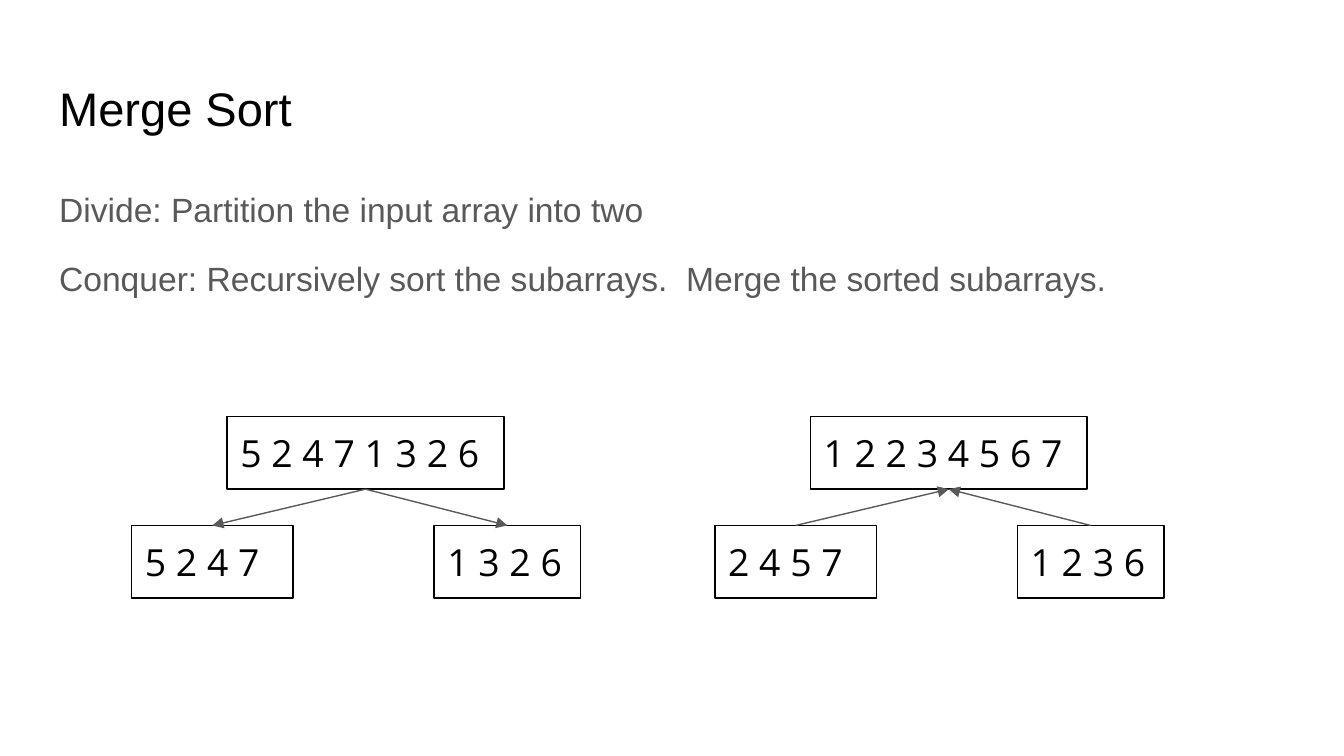
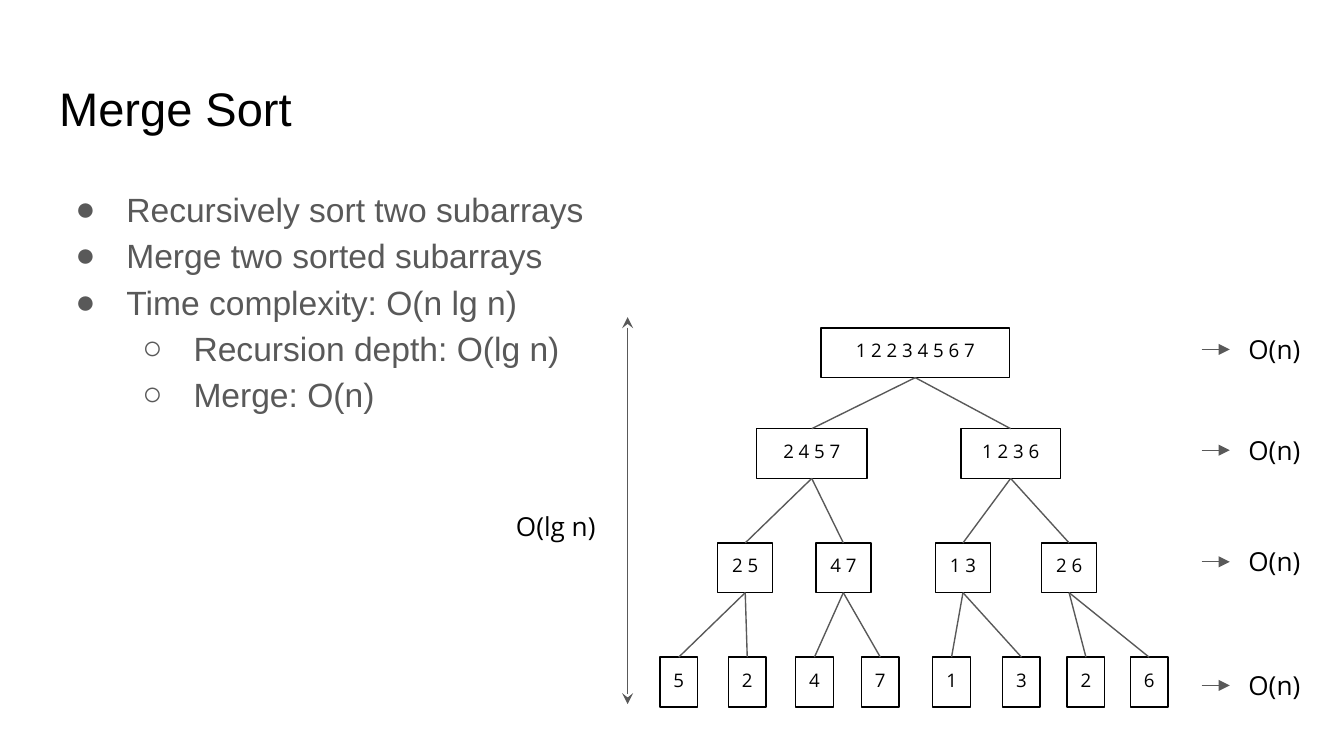
from lxml import etree
from pptx import Presentation
from pptx.dml.color import RGBColor
from pptx.enum.shapes import MSO_CONNECTOR, MSO_SHAPE
from pptx.enum.text import MSO_ANCHOR, MSO_AUTO_SIZE, PP_ALIGN
from pptx.oxml.ns import qn
from pptx.util import Inches, Pt

RECTANGLE = MSO_SHAPE.RECTANGLE
STRAIGHT = MSO_CONNECTOR.STRAIGHT
TOP = MSO_ANCHOR.TOP
NO_FIT, GROW = MSO_AUTO_SIZE.NONE, MSO_AUTO_SIZE.SHAPE_TO_FIT_TEXT
LEFT, CENTER = PP_ALIGN.LEFT, PP_ALIGN.CENTER

COLORS = {name: RGBColor.from_string(value) for name, value in {
    "ink": "000000", "gray": "595959"}.items()}
TEXT_FONT, DIAGRAM_FONT = "Arial", "Open Sans"
LINE_WIDTH = Pt(0.75)
INSET = Inches(0.1)


def write(shape, lines, font, size, color, align=LEFT, fit=GROW):
    """Fill a shape with one run per paragraph and return the paragraphs."""
    frame = shape.text_frame
    frame.word_wrap = True
    frame.auto_size = fit
    frame.vertical_anchor = TOP
    frame.margin_left = frame.margin_right = INSET
    frame.margin_top = frame.margin_bottom = INSET
    for index, line in enumerate(lines):
        paragraph = frame.add_paragraph() if index else frame.paragraphs[0]
        paragraph.alignment = align
        run = paragraph.add_run()
        run.text = line
        run.font.name = font
        run.font.size = Pt(size)
        run.font.color.rgb = COLORS[color]
    return frame.paragraphs


def connect(shapes, start, end, head=None, tail=None):
    """Draw a thin gray line, with optional arrowheads at start and end."""
    points = [Inches(value) for value in (*start, *end)]
    connector = shapes.add_connector(STRAIGHT, *points)
    connector.line.color.rgb = COLORS["gray"]
    connector.line.width = LINE_WIDTH
    properties = connector._element.spPr
    outline = properties.find(qn("a:ln"))
    for tag, kind in (("a:headEnd", head), ("a:tailEnd", tail)):
        if kind:
            etree.SubElement(outline, qn(tag), type=kind)
    etree.SubElement(properties, qn("a:effectLst"))


presentation = Presentation()
presentation.slide_width = Inches(10)
presentation.slide_height = Inches(5.625)

# Titles and body lists: each body line has a bullet and a level
pages = [
    [("", 0, "Divide: Partition the input array into two"),
     ("", 0, "Conquer: Recursively sort the subarrays.  Merge the sorted subarrays.")],
    [("●", 0, "Recursively sort two subarrays"),
     ("●", 0, "Merge two sorted subarrays"),
     ("●", 0, "Time complexity: O(n lg n)"),
     ("○", 1, "Recursion depth: O(lg n)"),
     ("○", 1, "Merge: O(n)")],
]
slides = []
for items in pages:
    slide = presentation.slides.add_slide(presentation.slide_layouts[1])
    slides.append(slide)
    title, body = slide.placeholders
    for shape, top, height in ((title, 0.49, 0.63), (body, 1.26, 3.74)):
        shape.left, shape.top = Inches(0.34), Inches(top)
        shape.width, shape.height = Inches(9.32), Inches(height)
    write(title, ["Merge Sort"], TEXT_FONT, 25.2, "ink", fit=NO_FIT)
    texts = [text for _, _, text in items]
    paragraphs = write(body, texts, TEXT_FONT, 18, "gray", fit=NO_FIT)
    for index, (bullet, level, _) in enumerate(items):
        paragraph = paragraphs[index]
        paragraph.level = level
        paragraph.line_spacing = 1.15
        gap = Pt(12) if index and not bullet else Pt(0)
        paragraph.space_before = paragraph.space_after = gap
        properties = paragraph._p.get_or_add_pPr()
        margin = Inches(0.5 * (level + 1)) if bullet else 0
        properties.set("marL", str(margin))
        properties.set("indent", str(Inches(-0.38) if bullet else 0))
        if bullet:
            bullet_color = etree.SubElement(properties, qn("a:buClr"))
            etree.SubElement(bullet_color, qn("a:srgbClr"), val=str(COLORS["gray"]))
            etree.SubElement(properties, qn("a:buFont"), typeface=TEXT_FONT)
            etree.SubElement(properties, qn("a:buChar"), char=bullet)
        else:
            etree.SubElement(properties, qn("a:buNone"))

# Trees: rows of (top, [(left, width, numbers), ...]), each node has two children
divide_slide, depth_slide = slides
depth_group = depth_slide.shapes.add_group_shape().shapes
pair_width, leaf_width = 0.41, 0.28
pairs = zip((5.34, 6.07, 6.96, 7.75), ("2 5", "4 7", "1 3", "2 6"))
leaves = zip((4.91, 5.42, 5.92, 6.41, 6.94, 7.46, 7.94, 8.41), "52471326")
recursion_rows = [
    (2.44, [(6.11, 1.4, "1 2 2 3 4 5 6 7")]),
    (3.19, [(5.63, 0.82, "2 4 5 7"), (7.15, 0.74, "1 2 3 6")]),
    (4.04, [(left, pair_width, text) for left, text in pairs]),
    (4.89, [(left, leaf_width, text) for left, text in leaves]),
]
trees = [(depth_group, recursion_rows, 0.37, 10, CENTER, {})]
for shift, whole, first_half, second_half, ends in (
        (0, "5 2 4 7 1 3 2 6", "5 2 4 7", "1 3 2 6", {"tail": "triangle"}),
        (4.34, "1 2 2 3 4 5 6 7", "2 4 5 7", "1 2 3 6", {"head": "triangle"})):
    rows = [
        (3.1, [(1.69 + shift, 2.06, whole)]),
        (3.91, [(0.98 + shift, 1.2, first_half), (3.23 + shift, 1.09, second_half)]),
    ]
    trees.append((divide_slide.shapes, rows, 0.54, 20, LEFT, ends))

for shapes, rows, height, size, align, ends in trees:
    parents = []
    for top, nodes in rows:
        centers = []
        for index, (left, width, numbers) in enumerate(nodes):
            box = shapes.add_shape(RECTANGLE, Inches(left), Inches(top),
                                   Inches(width), Inches(height))
            box.shadow.inherit = False
            box.fill.background()
            box.line.color.rgb = COLORS["ink"]
            box.line.width = LINE_WIDTH
            write(box, [numbers], DIAGRAM_FONT, size, "ink", align)
            center = left + width / 2
            centers.append((center, top + height))
            if parents:
                connect(shapes, parents[index // 2], (center, top), **ends)
        parents = centers

# Depth arrow, cost arrows and their labels
connect(depth_group, (4.67, 2.36), (4.67, 5.24), head="stealth", tail="stealth")
labels = [(3.74, 3.7, "O(lg n)")]
for middle in (2.6, 3.35, 4.18, 5.1):
    connect(depth_group, (8.94, middle), (9.15, middle), tail="triangle")
    labels.append((9.19, middle - 0.22, "O(n)"))
for left, top, text in labels:
    label = depth_group.add_textbox(Inches(left), Inches(top), Inches(0.82), Inches(0.44))
    write(label, [text], DIAGRAM_FONT, 14, "ink")

presentation.save("out.pptx")
